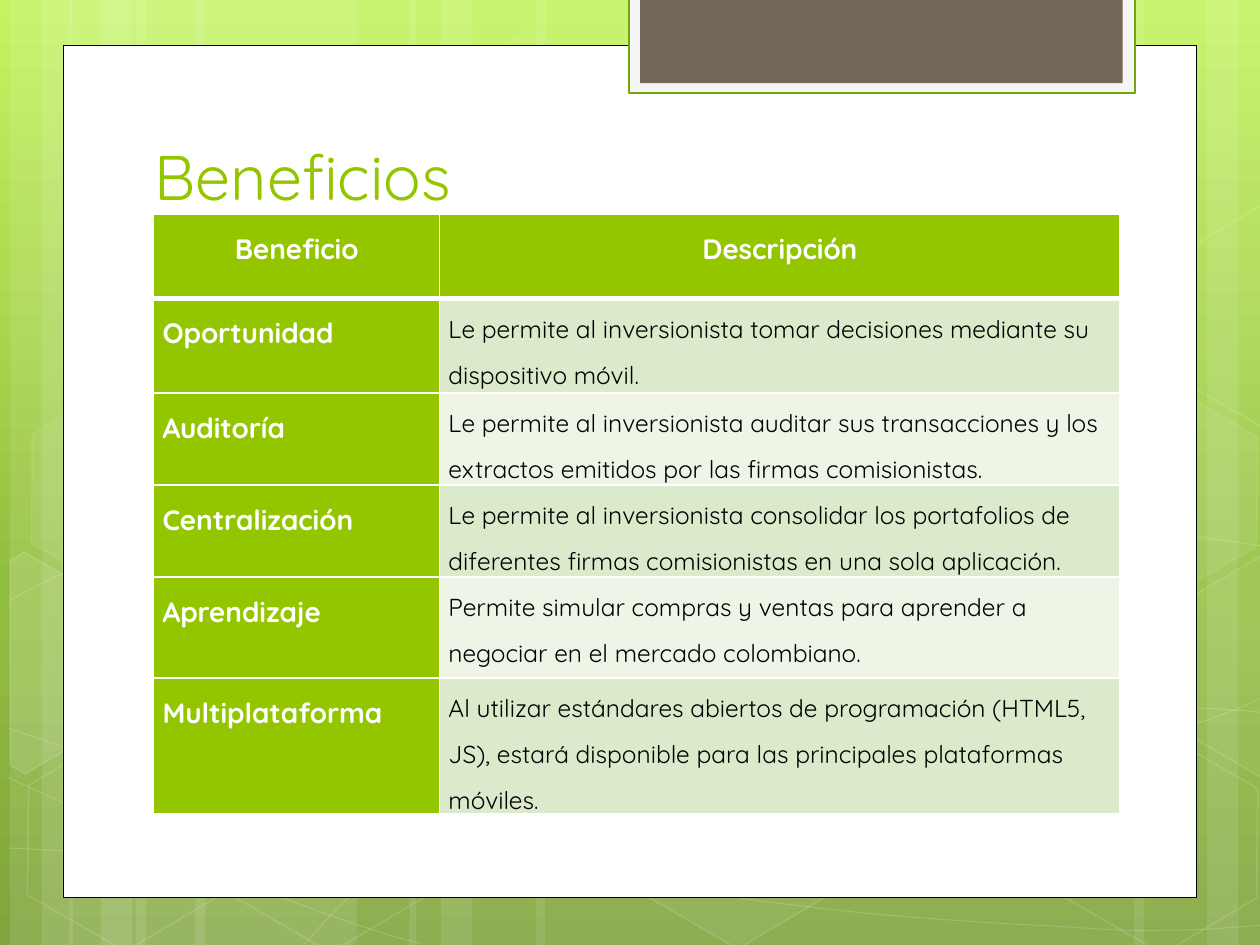
from dataclasses import dataclass
from typing import Optional
import copy
import math

from lxml import etree
from pptx import Presentation
from pptx import util as u
from pptx.dml.color import RGBColor
from pptx.enum import shapes, text
from pptx.oxml.ns import qn

COLORS = {
    "white": "FFFFFF", "black": "000000", "green": "94C600", "edge": "74A510",
    "mist": "F5F5F5", "brown": "71685A", "band_dark": "DCEACC", "band_light": "EEF5E7",
    "sky_top": "C3F35F", "sky_middle": "93BF3F", "sky_bottom": "81A53E",
}
FONT = "Quicksand"
TILT = 30


@dataclass
class Paint:
    fill: Optional[str] = None
    fill_alpha: int = 100
    line: Optional[str] = None
    line_width: float = 1
    line_alpha: int = 100


@dataclass
class Benefit:
    name: str
    description: str
    height: float


# Left and width of the translucent vertical stripes
STRIPES = [(1.08, 1.75), (0.08, 0.5), (0.33, 0.83), (1.55, 1.75), (0.55, 0.5), (0.8, 0.83),
           (7.33, 1.75), (9.58, 0.5), (9, 0.83), (4.25, 3.08), (3.25, 0.5), (3.5, 0.83)]

# Thin waves: a start point, then C for a curve (three points) or L for a line (one point)
WAVES = [
    "0.07,6.73 C 0.61,6.76 1.15,6.79 1.9,6.78 C 2.65,6.77 3.58,6.75 4.58,6.65 "
    "C 5.58,6.55 7,6.36 7.92,6.17 C 8.83,5.98 9.77,5.68 10.07,5.51",
    "0.07,4.77 C 0.36,4.61 0.65,4.46 1.21,4.31 C 1.78,4.16 2.59,3.94 3.47,3.87 "
    "C 4.36,3.8 5.44,3.79 6.54,3.87 C 7.64,3.95 9.47,4.26 10.07,4.34",
    "0.06,6.17 C 1.27,6.72 2.47,7.27 3.34,7.49",
    "0.07,5.78 C 0.38,5.89 0.7,6 1.28,6.16 C 1.86,6.31 2.73,6.56 3.57,6.73 "
    "C 4.4,6.9 5.45,7.08 6.28,7.18 C 7.11,7.29 8,7.33 8.53,7.36 "
    "C 9.05,7.4 9.19,7.38 9.45,7.38 C 9.71,7.37 9.89,7.35 10.07,7.34",
    "2.42,7.49 C 2.6,7.29 2.78,7.09 3.02,6.91 C 3.26,6.73 3.6,6.53 3.88,6.39 "
    "C 4.16,6.25 4.33,6.19 4.7,6.09 C 5.06,5.99 5.73,5.85 6.08,5.78 "
    "C 6.44,5.71 6.49,5.71 6.8,5.69 C 7.11,5.66 7.6,5.63 7.94,5.62 "
    "C 8.29,5.61 8.86,5.62 8.86,5.62 L 9.53,5.62 C 9.71,5.63 9.88,5.64 9.97,5.65 "
    "C 10.06,5.66 10.03,5.65 10.06,5.66",
]

# Left, top, fill opacity and line opacity
HEXAGONS = [(3.34, 0.36, 4, 8), (4.97, 5.89, 6, 12), (0.11, 5.91, 0, 12), (0.14, 3.12, 7, 8),
            (1.74, 5.92, 0, 12), (7.53, 4.53, 10, 12), (8.34, 5.93, 0, 12), (8.34, 3.14, 7, 8)]

# Hexagons cut by the slide edge: corners, centre and fill opacity
CUT_HEXAGONS = [
    ([(0.08, 4.45), (0.19, 4.38), (0.96, 4.82), (0.95, 5.7), (0.2, 6.14), (0.08, 6.07)],
     (0.36, 5.35), 10),
    ([(9.26, 4.85), (10.01, 4.41), (10.09, 4.46), (10.09, 6.13), (10.02, 6.17), (9.26, 5.73)],
     (9.85, 5.2), 4),
    ([(9.26, 2.07), (10.01, 1.63), (10.1, 1.68), (10.09, 3.35), (10.02, 3.39), (9.26, 2.95)],
     (9.85, 2.41), 0),
]

ROWS = [
    Benefit("Beneficio", "Descripción", 0.67),
    Benefit("Oportunidad", "Le permite al inversionista tomar decisiones mediante su "
            "dispositivo móvil.", 0.75),
    Benefit("Auditoría", "Le permite al inversionista auditar sus transacciones y los "
            "extractos emitidos por las firmas comisionistas.", 0.73),
    Benefit("Centralización", "Le permite al inversionista consolidar los portafolios de "
            "diferentes firmas comisionistas en una sola aplicación.", 0.73),
    Benefit("Aprendizaje", "Permite simular compras y ventas para aprender a negociar en "
            "el mercado colombiano.", 0.8),
    Benefit("Multiplataforma", "Al utilizar estándares abiertos de programación (HTML5, "
            "JS), estará disponible para las principales plataformas móviles.", 1.08),
]


def rgb(name: str) -> RGBColor:
    return RGBColor.from_string(COLORS[name])


def set_alpha(parent, percent: int) -> None:
    if percent < 100:
        etree.SubElement(parent.find(".//" + qn("a:srgbClr")), qn("a:alpha"),
                         val=str(percent * 1000))


def apply_paint(shape, paint: Paint) -> None:
    shape.shadow.inherit = False
    shape.fill.background()
    shape.line.fill.background()
    if paint.fill and paint.fill_alpha:
        shape.fill.solid()
        shape.fill.fore_color.rgb = rgb(paint.fill)
        set_alpha(shape.element.spPr.find(qn("a:solidFill")), paint.fill_alpha)
    if paint.line:
        shape.line.color.rgb = rgb(paint.line)
        shape.line.width = u.Pt(paint.line_width)
        set_alpha(shape.element.spPr.find(qn("a:ln")), paint.line_alpha)


def add_preset(slide, kind, left: float, top: float, width: float, height: float, paint: Paint):
    shape = slide.shapes.add_shape(kind, *map(u.Inches, (left, top, width, height)))
    apply_paint(shape, paint)
    return shape


def add_outline(slide, points: list, closed: bool, paint: Paint):
    start, *rest = [(u.Inches(x), u.Inches(y)) for x, y in points]
    builder = slide.shapes.build_freeform(*start)
    builder.add_line_segments(rest, close=closed)
    shape = builder.convert_to_shape()
    apply_paint(shape, paint)
    return shape


def add_wave(slide, course: str) -> None:
    tokens = course.split()
    points = [tuple(map(float, token.split(","))) for token in tokens if token not in "CL"]
    shape = add_outline(slide, points, False, Paint(line="white", line_width=0.5, line_alpha=20))
    # Gather each three points of a curve into one Bezier segment
    segments = iter(shape.element.findall(".//" + qn("a:lnTo")))
    for command in (token for token in tokens if token in "CL"):
        segment = next(segments)
        if command == "C":
            segment.tag = qn("a:cubicBezTo")
            for _ in range(2):
                extra = next(segments)
                segment.append(extra[0])
                extra.getparent().remove(extra)


def add_cut_hexagon(slide, corners: list, center: tuple, alpha: int) -> None:
    cosine, sine = math.cos(math.radians(TILT)), math.sin(math.radians(TILT))
    offsets = [(x - center[0], y - center[1]) for x, y in corners]
    level = [(center[0] + x * cosine + y * sine, center[1] - x * sine + y * cosine)
             for x, y in offsets]
    add_outline(slide, level, True, Paint("white", alpha, "white", 1, 12)).rotation = TILT


def add_run(paragraph, content: str, size: float, color: str, bold: bool = False) -> None:
    run = paragraph.add_run()
    run.text = content
    run.font.name, run.font.size, run.font.bold = FONT, u.Pt(size), bold
    run.font.color.rgb = rgb(color)


def fill_cell(cell, content: str, fill: str, label: bool, row: int) -> None:
    cell.margin_left = cell.margin_right = u.Inches(0.07)
    cell.margin_top = cell.margin_bottom = 0
    cell.fill.solid()
    cell.fill.fore_color.rgb = rgb(fill)
    paragraph = cell.text_frame.paragraphs[0]
    paragraph.line_spacing = 1.5
    paragraph.alignment = text.PP_ALIGN.LEFT if row else text.PP_ALIGN.CENTER
    add_run(paragraph, content, 16 if label else 14, "white" if label else "black", label)
    # White borders, thicker below the header
    for index, side in enumerate("LRTB"):
        width = 3 if (row, side) in ((0, "B"), (1, "T")) else 1
        border = etree.Element(qn("a:ln" + side), w=str(u.Pt(width)))
        solid = etree.SubElement(border, qn("a:solidFill"))
        etree.SubElement(solid, qn("a:srgbClr"), val=COLORS["white"])
        cell._tc.tcPr.insert(index, border)


def add_benefits_table(slide) -> None:
    table = slide.shapes.add_table(len(ROWS), 2, *map(u.Inches, (1.22, 1.7, 7.67, 4.76))).table
    for column, width in zip(table.columns, (2.27, 5.4)):
        column.width = u.Inches(width)
    for index, benefit in enumerate(ROWS):
        table.rows[index].height = u.Inches(benefit.height)
        band = "band_dark" if index % 2 else "band_light"
        fill_cell(table.cell(index, 0), benefit.name, "green", True, index)
        fill_cell(table.cell(index, 1), benefit.description, band if index else "green",
                  index == 0, index)


def paint_background(slide) -> None:
    fill = slide.background.fill
    fill.gradient()
    fill.gradient_angle = 270
    stops = slide.element.find(".//" + qn("a:gsLst"))
    stops.insert(1, copy.deepcopy(stops[0]))
    for stop, position, part in zip(fill.gradient_stops, (0, 0.62, 1), ("top", "middle", "bottom")):
        stop.position, stop.color.rgb = position, rgb("sky_" + part)


def main() -> None:
    presentation = Presentation()
    presentation.slide_width, presentation.slide_height = u.Inches(10), u.Inches(7.5)
    slide = presentation.slides.add_slide(presentation.slide_layouts[6])
    rectangle = shapes.MSO_SHAPE.RECTANGLE
    # Backdrop: stripes, waves and hexagons
    paint_background(slide)
    for left, width in STRIPES:
        add_preset(slide, rectangle, left, 0, width, 7.5, Paint("white", 10))
    for course in WAVES:
        add_wave(slide, course)
    for left, top, fill_alpha, line_alpha in HEXAGONS:
        hexagon = add_preset(slide, shapes.MSO_SHAPE.HEXAGON, left, top, 1.75, 1.52,
                             Paint("white", fill_alpha, "white", 1, line_alpha))
        hexagon.adjustments[0], hexagon.adjustments[1] = 0.28, 1.15
        hexagon.rotation = TILT
    for corners, center, alpha in CUT_HEXAGONS:
        add_cut_hexagon(slide, corners, center, alpha)
    # White page and the tab at its top
    for box, paint in [((0.5, 0.36, 9, 6.76), Paint("white", line="black", line_width=0.5)),
                       ((4.99, -0.02, 4.02, 0.76), Paint("mist", line="edge", line_width=1.25)),
                       ((5.08, -0.02, 3.83, 0.68), Paint("brown"))]:
        add_preset(slide, rectangle, *box, paint)
    # Title and table
    title = slide.shapes.add_textbox(*map(u.Inches, (1.13, 0.99, 7.68, 0.75))).text_frame
    title.word_wrap = True
    title.vertical_anchor = text.MSO_ANCHOR.BOTTOM
    add_run(title.paragraphs[0], "Beneficios", 36, "green")
    add_benefits_table(slide)
    presentation.save("out.pptx")


if __name__ == "__main__":
    main()
